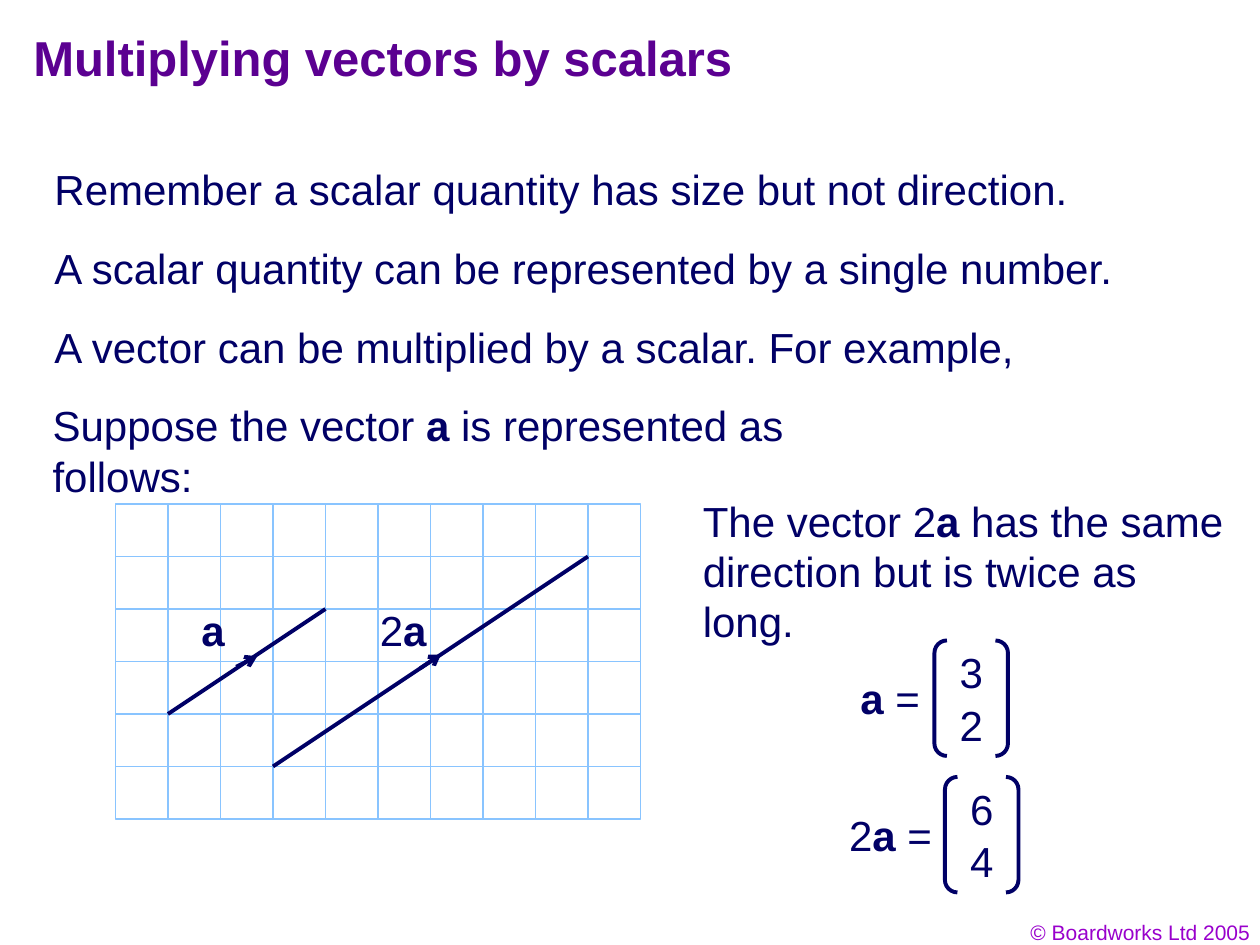
from dataclasses import dataclass
from itertools import product

from lxml import etree
from pptx import Presentation
from pptx import util as u
from pptx.dml import color
from pptx.enum import shapes, text
from pptx.oxml import ns
from pptx.shapes import connector, shapetree

COLORS = {
    "title": "5B0091",
    "text": "010066",
    "ink": "000066",
    "grid": "89C4FF",
    "paper": "FFFFFF",
    "footer": "9900CC",
}
FONT = "Arial"
CELL = 30
GRID_LEFT, GRID_TOP = 66, 288
COLUMNS, ROWS = 10, 6
LINE_HEIGHT = 36

Shapes = shapetree.SlideShapes | shapetree.GroupShapes
Point = tuple[float, float]


@dataclass
class Sentence:
    words: str
    left: float
    top: float
    width: float
    height: float = LINE_HEIGHT
    wrap: bool = True


@dataclass
class Vector:
    label: str
    label_left: float
    label_width: float
    start: Point  # grid column and row
    end: Point
    arrow_start: Point  # points on the slide
    arrow_end: Point


@dataclass
class Equation:
    label: str
    label_left: float
    label_width: float
    bracket_left: float
    top: float
    components: tuple[str, str]


SENTENCES = [
    Sentence("Remember a scalar quantity has size but not direction.", 24, 90, 649.5),
    Sentence("A scalar quantity can be represented by a single number.", 24, 135, 649.5),
    Sentence("A vector can be multiplied by a scalar. For example,", 24, 180, 649.5),
    Sentence("Suppose the vector *a* is represented as follows:", 23, 225, 518.4, wrap=False),
    Sentence("The vector 2*a* has the same direction but is twice as long.",
             394.5, 279.4, 313.2, 93.6),
]
EQUATIONS = [
    Equation("*a* =", 484.6, 48.2, 534, 366, ("3", "2")),
    Equation("2*a* =", 478.1, 61.9, 540, 444, ("6", "4")),
]
VECTORS = [
    Vector("*a*", 108, 27.4, (1, 4), (4, 2), (135, 381), (147, 375)),
    Vector("2*a*", 210, 41, (3, 5), (9, 1), (240, 382), (252, 374)),
]


def rgb(name: str) -> color.RGBColor:
    return color.RGBColor.from_string(COLORS[name])


def add_text(parent: Shapes, words: str, left: float, top: float, width: float,
             height: float = LINE_HEIGHT, *, size: float = 24, ink: str = "text",
             wrap: bool = False, grow: bool = True,
             align: text.PP_ALIGN = text.PP_ALIGN.LEFT) -> None:
    """Add a text box; words between asterisks are bold."""
    box = parent.add_textbox(u.Pt(left), u.Pt(top), u.Pt(width), u.Pt(height))
    frame = box.text_frame
    frame.word_wrap = wrap
    frame.auto_size = (text.MSO_AUTO_SIZE.SHAPE_TO_FIT_TEXT if grow
                       else text.MSO_AUTO_SIZE.NONE)
    para = frame.paragraphs[0]
    para.alignment = align
    for index, part in enumerate(words.split("*")):
        if part:
            span = para.add_run()
            span.text = part
            span.font.name = FONT
            span.font.size = u.Pt(size)
            span.font.bold = index % 2 == 1
            span.font.color.rgb = rgb(ink)


def add_line(parent: Shapes, start: Point, end: Point) -> connector.Connector:
    line = parent.add_connector(shapes.MSO_CONNECTOR.STRAIGHT,
                                *(u.Pt(value) for value in (*start, *end)))
    line.line.color.rgb = rgb("ink")
    line.line.width = u.Pt(2.25)
    etree.SubElement(line._element.spPr, ns.qn("a:effectLst"))
    return line


def grid_point(point: Point) -> Point:
    column, row = point
    return GRID_LEFT + column * CELL, GRID_TOP + row * CELL


def draw_grid(parent: Shapes) -> None:
    group = parent.add_group_shape().shapes
    for row, column in product(range(ROWS), range(COLUMNS)):
        left, top = grid_point((column, row))
        square = group.add_shape(shapes.MSO_SHAPE.RECTANGLE,
                                 u.Pt(left), u.Pt(top), u.Pt(CELL), u.Pt(CELL))
        square.shadow.inherit = False
        square.fill.solid()
        square.fill.fore_color.rgb = rgb("paper")
        square.line.color.rgb = rgb("grid")
        square.line.width = u.Pt(0.75)


def draw_vector(parent: Shapes, vector: Vector) -> None:
    group = parent.add_group_shape().shapes
    add_line(group, grid_point(vector.start), grid_point(vector.end))
    arrow = add_line(group, vector.arrow_start, vector.arrow_end)
    etree.SubElement(arrow.line._get_or_add_ln(), ns.qn("a:tailEnd"), type="arrow")
    add_text(group, vector.label, vector.label_left, 342, vector.label_width)


def draw_equation(parent: Shapes, equation: Equation) -> None:
    group = parent.add_group_shape().shapes
    add_text(group, equation.label, equation.label_left, equation.top + 15,
             equation.label_width)
    bracket = group.add_shape(shapes.MSO_SHAPE.DOUBLE_BRACKET,
                              u.Pt(equation.bracket_left), u.Pt(equation.top),
                              u.Pt(42), u.Pt(66))
    bracket.shadow.inherit = False
    bracket.adjustments[0] = 0.17
    bracket.fill.background()
    bracket.line.color.rgb = rgb("ink")
    bracket.line.width = u.Pt(2.25)
    for row, component in enumerate(equation.components):
        add_text(group, component, equation.bracket_left + 7.3,
                 equation.top + row * CELL, 27.4)


def main() -> None:
    deck = Presentation()
    deck.slide_width, deck.slide_height = u.Pt(720), u.Pt(540)
    page = deck.slides.add_slide(deck.slide_layouts[6]).shapes

    add_text(page, "© Boardworks Ltd 2005", 553.7, 522, 167.8, 21.6, size=12,
             ink="footer", wrap=True, align=text.PP_ALIGN.RIGHT)
    add_text(page, "*Multiplying vectors by scalars*", 12, 12, 612, 48, size=28,
             ink="title", wrap=True, grow=False)
    for sentence in SENTENCES:
        add_text(page, sentence.words, sentence.left, sentence.top,
                 sentence.width, sentence.height, wrap=sentence.wrap)
    draw_grid(page)
    for equation in EQUATIONS:
        draw_equation(page, equation)
    for vector in VECTORS:
        draw_vector(page, vector)
    deck.save("out.pptx")


if __name__ == "__main__":
    main()
